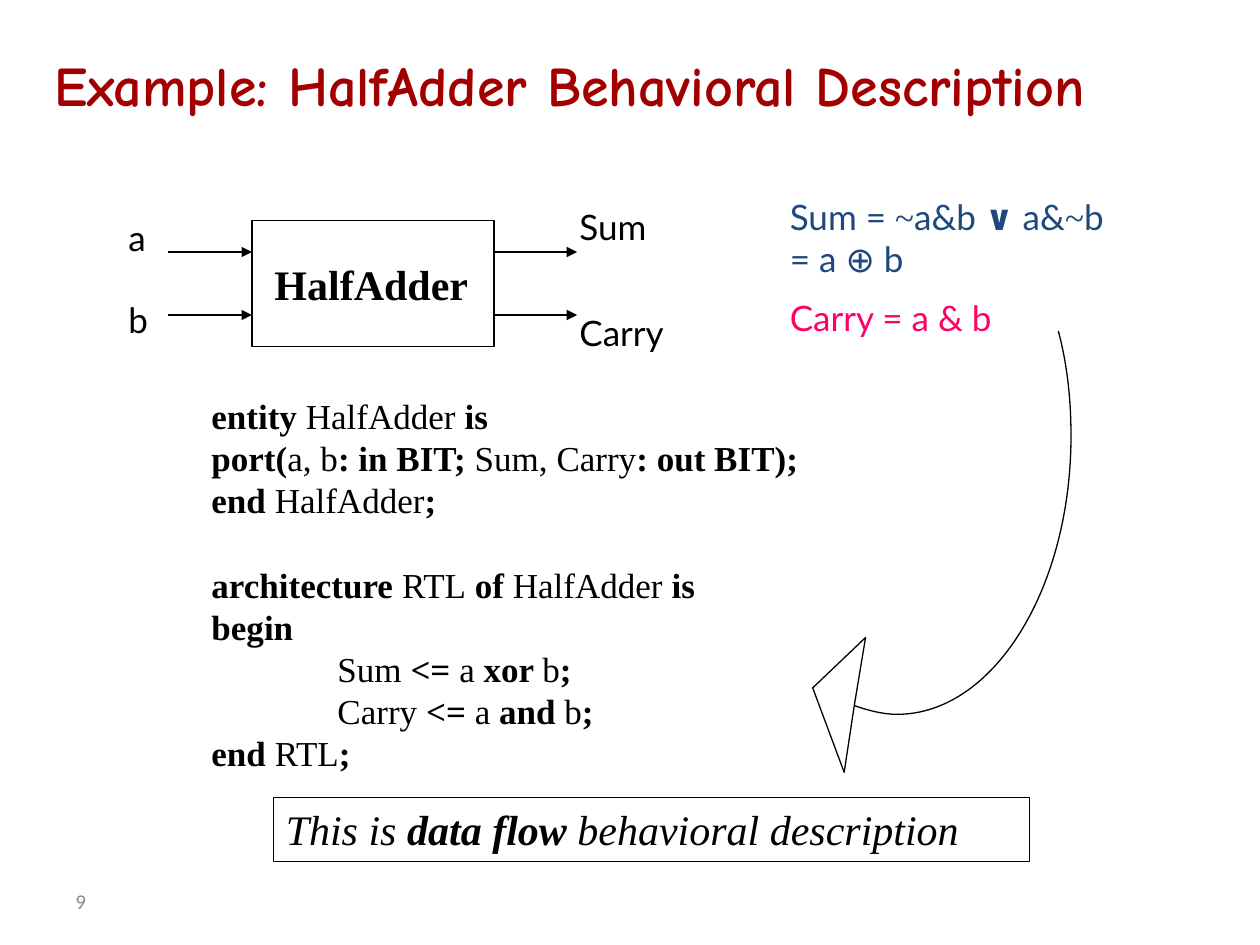
from pptx import Presentation
from pptx.util import Inches, Pt
from pptx.dml.color import RGBColor
from pptx.enum.shapes import MSO_SHAPE as Shape, MSO_CONNECTOR as Link
from pptx.enum.text import MSO_ANCHOR as Anchor, MSO_AUTO_SIZE as Fit, PP_ALIGN as Align
from pptx.oxml.ns import qn
from lxml.etree import SubElement

HUES = {"black": "000000", "red": "A20000", "blue": "1F497D", "pink": "FF0066", "gray": "8C8C8C"}
SERIF, SANS = "Times New Roman", "Lato"
CODE = {"name": SERIF, "size": 20, "hue": "black"}
LABEL = {"name": SANS, "size": 20, "hue": "black"}
HEAD = {"name": "Comic Neue", "size": 32, "hue": "red", "bold": True}
PAGE = {"name": "Calibri", "size": 12, "hue": "gray"}
BIG = {"name": SERIF, "size": 24, "hue": "black"}

TITLE = ["Example: HalfAdder Behavioral Description"]
ENTITY = [
    "*entity |HalfAdder|* is",
    "*port(|a, b|*: in BIT; |Sum, Carry|*: out BIT);",
    "*end |HalfAdder|*;",
]
BODY = [
    "*architecture |RTL|* of |HalfAdder |*is",
    "*begin",
    "*\t|Sum|* <= |a |*xor |b|*;",
    "*\t|Carry|* <= |a|* and |b|*;",
    "*end |RTL|*;",
]
LOGIC = ["Sum = |~|a&b |*∨| a&|~|b \t= a ⊕ b", "Carry = a & b"]
NOTE = ["This is|* data flow |behavioral description"]
TEXTS = [
    (0.5, 6.95, 2.33, 0.4, ["9"], PAGE),
    (1.58, 3.08, 5.33, 1.1, ENTITY, CODE),
    (1.58, 4.42, 5.25, 1.78, BODY, CODE),
    (6.17, 1.5, 3.08, 1.28, LOGIC, LABEL),
    (2.08, 2, 1.75, 0.51, ["*HalfAdder"], BIG),
    (0.92, 1.67, 0.42, 0.44, ["a"], LABEL),
    (0.92, 2.32, 0.42, 0.44, ["b"], LABEL),
    (4.5, 1.58, 1, 0.44, ["Sum"], LABEL),
    (4.5, 2.42, 1.08, 0.44, ["Carry"], LABEL),
]
BLOCK, PANEL = (2, 1.75, 1.92, 1), (2.17, 6.33, 6, 0.51)
WIRES = [(x, end, y) for x, end in [(1.33, 2), (3.92, 4.58)] for y in (2, 2.5)]
ARC = [
    (6.78, 5.6), (6.89, 5.64), (7.01, 5.67), (7.12, 5.67), (7.88, 5.67),
    (8.5, 4.68), (8.5, 3.46), (8.5, 3.17), (8.47, 2.89), (8.4, 2.63),
]
TIP = [(6.7, 6.13), (6.45, 5.46), (6.87, 5.06)]


def color(hue):
    return RGBColor.from_string(HUES[hue])


def write(shape, lines, look, wrap=True):
    frame = shape.text_frame
    frame.word_wrap = wrap
    frame.auto_size = Fit.NONE
    frame.vertical_anchor = Anchor.MIDDLE if look is PAGE else Anchor.TOP
    for i, line in enumerate(lines):
        para = frame.add_paragraph() if i else frame.paragraphs[0]
        para.alignment = Align.LEFT
        para._p.get_or_add_pPr().set("defTabSz", str(Inches(1)))
        hue = look["hue"]
        if lines is LOGIC:
            hue = ("blue", "pink")[i]
            para.space_before = Pt(10 * i)
        for piece in line.split("|"):
            run = para.add_run()
            run.text = piece.lstrip("*")
            font = {
                "name": SERIF if piece == "~" else look["name"],
                "size": Pt(look["size"]),
                "bold": piece.startswith("*") or look.get("bold", False),
                "italic": lines is NOTE,
            }
            for key, val in font.items():
                setattr(run.font, key, val)
            run.font.color.rgb = color(hue)


def outline(shape):
    shape.line.color.rgb = color("black")
    shape.line.width = Pt(0.75)


def hollow(shape):
    shape.shadow.inherit = False
    shape.fill.background()
    outline(shape)
    return shape


def bend(shape, count):
    steps = list(shape._element.iter(qn("a:lnTo")))[:count]
    for i in range(0, count, 3):
        curve = SubElement(steps[i].getparent(), qn("a:cubicBezTo"))
        steps[i].addprevious(curve)
        for step in steps[i:i + 3]:
            curve.append(step[0])
            step.getparent().remove(step)


def main():
    deck = Presentation()
    deck.slide_width, deck.slide_height = Inches(10), Inches(7.5)
    slide = deck.slides.add_slide(deck.slide_layouts[5])
    shapes = slide.shapes

    title = shapes.title
    place = {"left": 0.33, "top": 0.35, "width": 9.63, "height": 0.64}
    for key, val in place.items():
        setattr(title, key, Inches(val))
    write(title, TITLE, HEAD, False)

    for *box, lines, look in TEXTS:
        write(shapes.add_textbox(*map(Inches, box)), lines, look)
    hollow(shapes.add_shape(Shape.RECTANGLE, *map(Inches, BLOCK)))
    panel = hollow(shapes.add_shape(Shape.RECTANGLE, *map(Inches, PANEL)))
    write(panel, NOTE, BIG)

    for x, end, y in WIRES:
        wire = shapes.add_connector(Link.STRAIGHT, *map(Inches, (x, y, end, y)))
        outline(wire)
        SubElement(wire.line._get_or_add_ln(), qn("a:tailEnd"), type="triangle")
        SubElement(wire._element.spPr, qn("a:effectLst"))

    trail = [(Inches(x), Inches(y)) for x, y in ARC + ARC[-2::-1] + TIP]
    pen = shapes.build_freeform(*trail[0])
    pen.add_line_segments(trail[1:], close=True)
    arrow = hollow(pen.convert_to_shape())
    bend(arrow, 2 * (len(ARC) - 1))
    deck.save("out.pptx")


if __name__ == "__main__":
    main()
